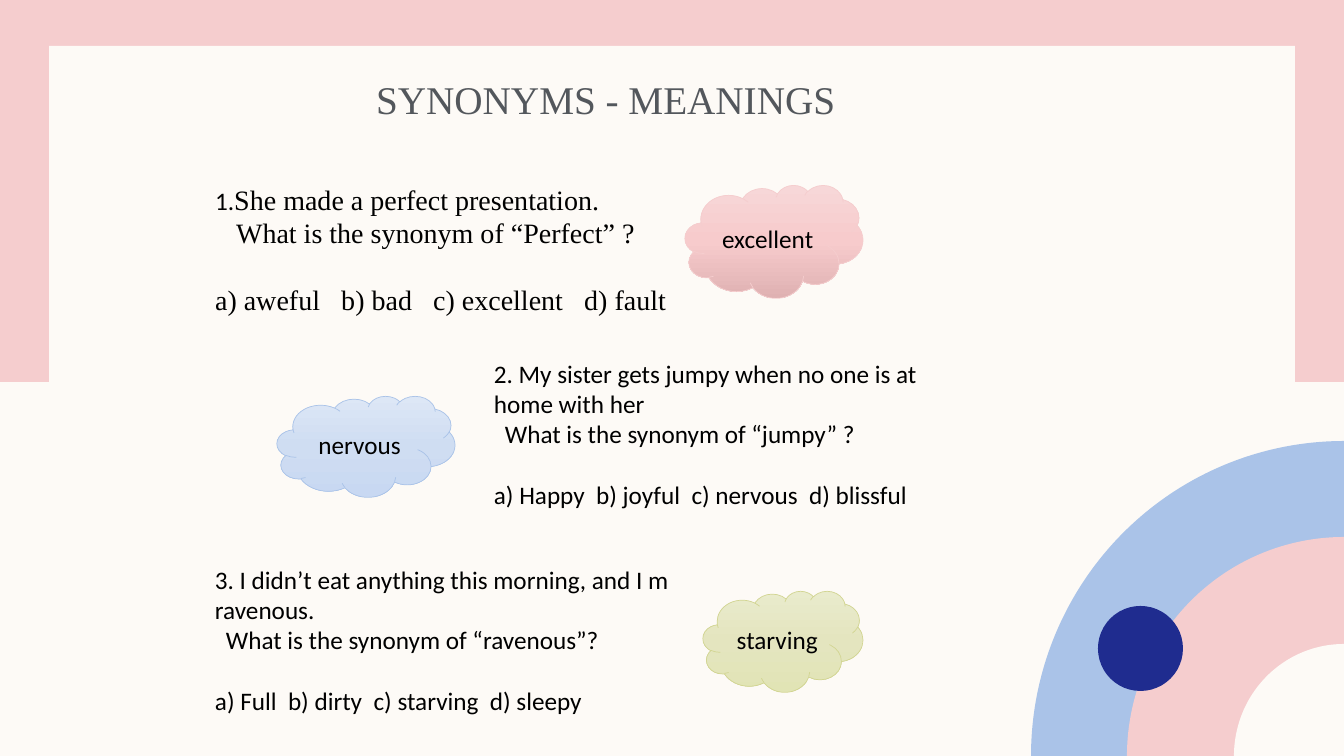
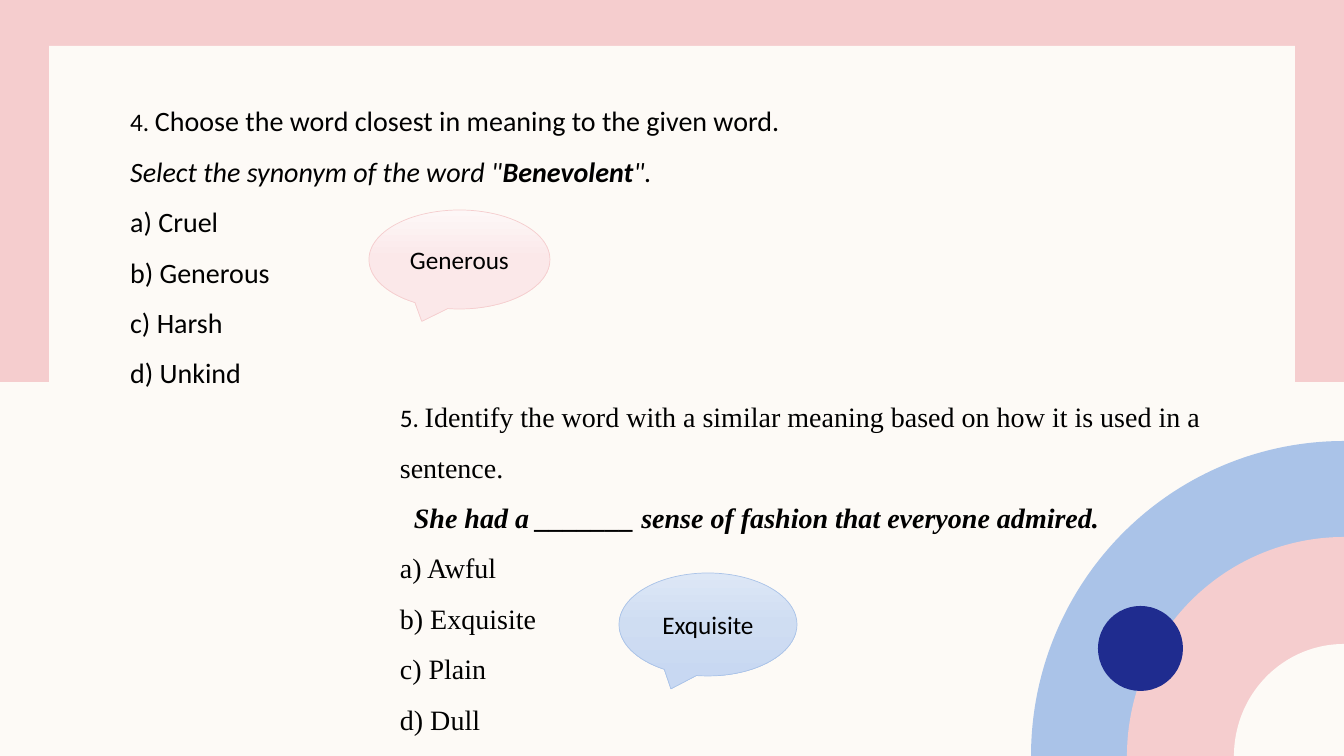
import copy

from lxml import etree
from pptx import Presentation
from pptx import util as u
from pptx.dml.color import RGBColor
from pptx.enum import shapes, text
from pptx.oxml.ns import qn

EMU_PER_PX = 914400 / 100.8
WIDTH, HEIGHT = 1344, 756
CREAM, PINK, BLUE, NAVY, OLIVE = "FDFAF6", "F5CDCE", "AAC3E8", "1F2C8F", "D2D592"
BLACK, GREY = "000000", "53575C"
SANS, SERIF = "Calibri", "Times New Roman"
BLUE_FADE = ["DDE7F6", "CFDDF2", "C8D8F2"]
CLOUD = shapes.MSO_SHAPE.CLOUD
BUBBLE = shapes.MSO_SHAPE.OVAL_CALLOUT

rgb = RGBColor.from_string


def px(*lengths):
    return [u.Emu(round(length * EMU_PER_PX)) for length in lengths]


def paint(shape, colours, outline=None):
    """Fill with one colour, or fade downwards through three."""
    shape.shadow.inherit = False
    if len(colours) == 1:
        shape.fill.solid()
        shape.fill.fore_color.rgb = rgb(colours[0])
    else:
        shape.fill.gradient()
        shape.fill.gradient_angle = 270
        stop_list = next(shape.element.iter(qn("a:gsLst")))
        stop_list.insert(1, copy.deepcopy(stop_list[0]))
        for stop, colour, position in zip(shape.fill.gradient_stops, colours, (0, 0.5, 1)):
            stop.color.rgb = rgb(colour)
            stop.position = position
    if outline:
        shape.line.color.rgb = rgb(outline)
        shape.line.width = u.Pt(0.5)
    else:
        shape.line.fill.background()


# Each line is a list of (text, style) runs; b is bold, i is italic.
# A space styled w is widened by "widen" hundredths of a point.
# The second line is indented by "indent"; the last one stands "gap" points lower.
WIDE = (" ", "w")
synonym_questions = [
    dict(
        box=(205, 177, 475, 146), font=SERIF, size=20, spacing=1, indent=21,
        number="1.", gap=24, widen=1000,
        lines=[
            [("She made a perfect presentation.", "")],
            [("What is the synonym of “Perfect” ?", "")],
            [("a) aweful", ""), WIDE, ("b) bad", ""), WIDE,
             ("c) excellent", ""), WIDE, ("d) fault", "")],
        ],
        answer=("excellent", CLOUD, (685, 185, 178, 113), ["F7D7D8", "F7CBCC", "DFB1B2"], PINK),
    ),
    dict(
        box=(484, 353, 475, 163), font=SANS, size=18, spacing=1, indent=11,
        number="2. ", gap=22, widen=400,
        lines=[
            [("My sister gets jumpy when no one is at home with her", "")],
            [("What is the synonym of “jumpy” ?", "")],
            [("a) Happy", ""), WIDE, ("b) joyful", ""), WIDE,
             ("c) nervous", ""), WIDE, ("d) blissful", "")],
        ],
        answer=("nervous", CLOUD, (277, 396, 178, 101), BLUE_FADE, BLUE),
    ),
    dict(
        box=(205, 559, 475, 163), font=SANS, size=18, spacing=1, indent=11,
        number="3. ", gap=22, widen=400,
        lines=[
            [("I didn’t eat anything this morning, and I m ravenous.", "")],
            [("What is the synonym of “ravenous”?", "")],
            [("a) Full", ""), WIDE, ("b) dirty", ""), WIDE,
             ("c) starving", ""), WIDE, ("d) sleepy", "")],
        ],
        answer=("starving", CLOUD, (703, 591, 160, 101), ["E9EBCC", "E4E5BF", "E1E4B5"], OLIVE),
    ),
]
choice_questions = [
    dict(
        box=(120, 82, 700, 357), font=SANS, size=20, spacing=1.5, indent=0,
        number="4. ", gap=0, widen=0,
        lines=[
            [("Choose the word closest in meaning to the given word.", "")],
            [('Select the synonym of the word "', "i"), ("Benevolent", "bi"), ('".', "i")],
            [("a) Cruel", "")],
            [("b) Generous", "")],
            [("c) Harsh", "")],
            [("d) Unkind", "")],
        ],
        answer=("Generous", BUBBLE, (369, 210, 181, 99), ["FDF7F7", "FBE8E9", "FBE5E6"], PINK),
    ),
    dict(
        box=(390, 378, 824, 360), font=SERIF, size=20, spacing=1.5, indent=14,
        number="5. ", gap=0, widen=0,
        lines=[
            [("Identify the word with a similar meaning based on how it is used in a sentence.", "")],
            [("She had a _______ sense of fashion that everyone admired.", "bi")],
            [("a) Awful", "")],
            [("b) Exquisite", "")],
            [("c) Plain", "")],
            [("d) Dull", "")],
        ],
        answer=("Exquisite", BUBBLE, (619, 573, 178, 103), BLUE_FADE, BLUE),
    ),
]

prs = Presentation()
prs.slide_width, prs.slide_height = px(WIDTH, HEIGHT)
layout = prs.slide_layouts[1]
backdrop = prs.slide_master.background.fill
backdrop.solid()
backdrop.fore_color.rgb = rgb(CREAM)

pages = [
    ("SYNONYMS - MEANINGS", synonym_questions),
    ("", choice_questions),
]
slides = [prs.slides.add_slide(layout) for page in pages]

# The shared frame and rainbow are drawn once, then moved into the layout.
canvas = slides[0].shapes
decor = []
for box, colour in (((0, 0, WIDTH, 382), PINK), ((49, 46, 1246, 664), CREAM)):
    panel = canvas.add_shape(shapes.MSO_SHAPE.RECTANGLE, *px(*box))
    paint(panel, [colour])
    decor.append(panel)
for across, up, colour in ((313, 315, BLUE), (217, 219, PINK), (110, 112, CREAM)):
    builder = canvas.build_freeform(*px(WIDTH, HEIGHT))
    builder.add_line_segments([px(WIDTH - across, HEIGHT), px(WIDTH, HEIGHT - up)], close=True)
    band = builder.convert_to_shape()
    # The straight side opposite the corner becomes a quarter ellipse.
    side = list(band.element.iter(qn("a:lnTo")))[1]
    arc = etree.Element(qn("a:arcTo"), wR=str(px(across)[0]), hR=str(px(up)[0]),
                        stAng="10800000", swAng="5400000")
    side.getparent().replace(side, arc)
    paint(band, [colour])
    decor.append(band)
dot = canvas.add_shape(shapes.MSO_SHAPE.OVAL, *px(1098, 606, 85, 85))
paint(dot, [NAVY])
decor.append(dot)
for order, piece in enumerate(decor):
    next(piece.element.iter(qn("p:cNvPr"))).set("id", str(100 + order))
    layout.shapes.element.insert(2 + order, piece.element)

for slide, (heading, questions) in zip(slides, pages):
    title = slide.shapes.title
    if heading:
        title.left, title.top, title.width, title.height = px(366, 70, 512, 105)
        title.text_frame.text = heading
        title.text_frame.vertical_anchor = text.MSO_ANCHOR.TOP
        title.text_frame.auto_size = text.MSO_AUTO_SIZE.NONE
        title_line = title.text_frame.paragraphs[0]
        title_line.alignment = text.PP_ALIGN.LEFT
        title_font = title_line.runs[0].font
        title_font.name, title_font.size = SERIF, u.Pt(28)
        title_font.color.rgb = rgb(GREY)
    else:
        title.element.getparent().remove(title.element)

    for position, question in enumerate(questions):
        box = px(*question["box"])
        if position == 0:
            prompt = slide.placeholders[1]
            prompt.left, prompt.top, prompt.width, prompt.height = box
        else:
            prompt = slide.shapes.add_textbox(*box)
        frame = prompt.text_frame
        frame.word_wrap = True
        frame.auto_size = text.MSO_AUTO_SIZE.NONE
        frame.vertical_anchor = text.MSO_ANCHOR.TOP

        last = len(question["lines"]) - 1
        for row, line in enumerate(question["lines"]):
            paragraph = frame.add_paragraph() if row else frame.paragraphs[0]
            paragraph.line_spacing = question["spacing"]
            paragraph.space_before = u.Pt(question["gap"] if row == last else 0)
            properties = paragraph._p.get_or_add_pPr()
            indent = px(question["indent"] if row == 1 else 0)[0]
            properties.set("marL", str(indent))
            properties.set("indent", "0")
            etree.SubElement(properties, qn("a:buNone"))

            pieces = [(words, style, question["font"], question["size"]) for words, style in line]
            if row == 0:
                pieces.insert(0, (question["number"], "", SANS, 18))
            for words, style, font_name, size in pieces:
                run = paragraph.add_run()
                run.text = words
                run.font.name, run.font.size = font_name, u.Pt(size)
                run.font.bold, run.font.italic = "b" in style, "i" in style
                run.font.color.rgb = rgb(BLACK)
                if style == "w":
                    run._r.get_or_add_rPr().set("spc", str(question["widen"]))

    for question in questions:
        word, outline_shape, box, fade, outline = question["answer"]
        answer = slide.shapes.add_shape(outline_shape, *px(*box))
        paint(answer, fade, outline)
        answer.text_frame.text = word
        answer.text_frame.word_wrap = False
        answer.text_frame.vertical_anchor = text.MSO_ANCHOR.MIDDLE
        answer_line = answer.text_frame.paragraphs[0]
        answer_line.alignment = text.PP_ALIGN.CENTER
        answer_font = answer_line.runs[0].font
        answer_font.name, answer_font.size = SANS, u.Pt(18)
        answer_font.color.rgb = rgb(BLACK)

prs.save("out.pptx")
